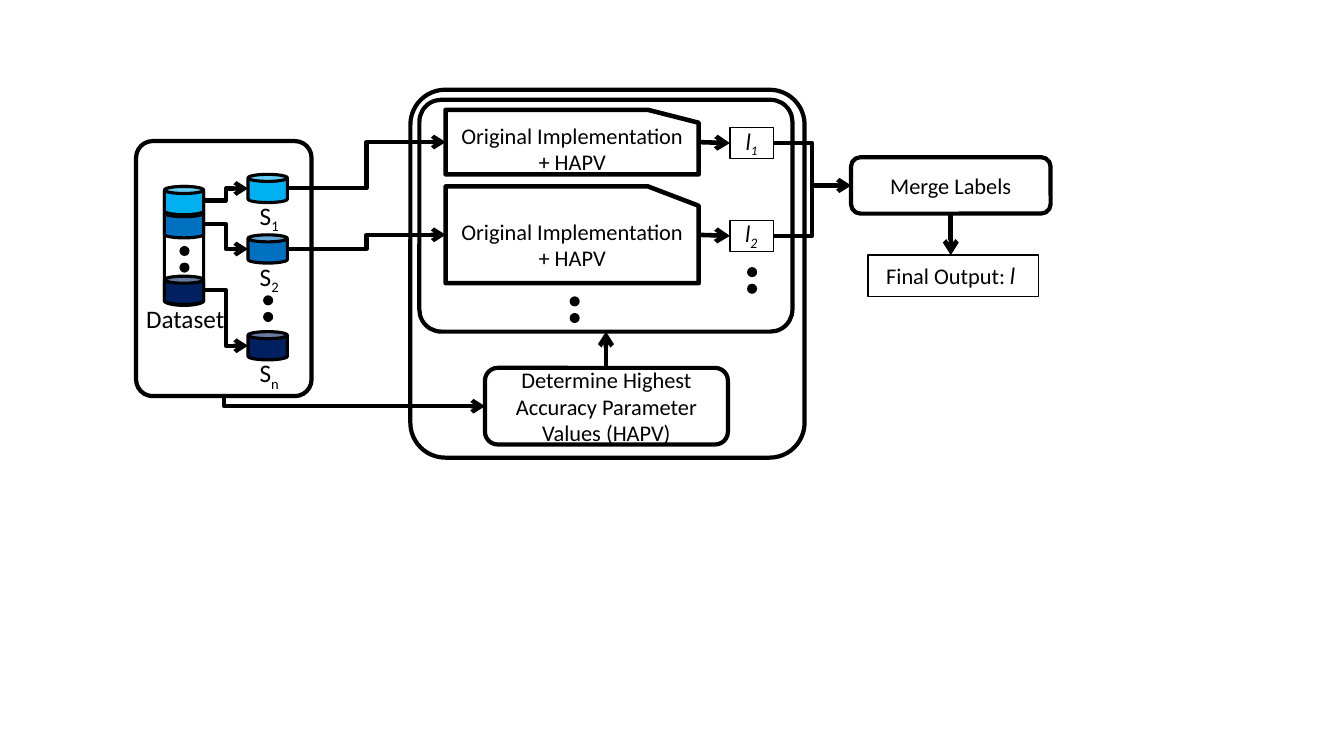
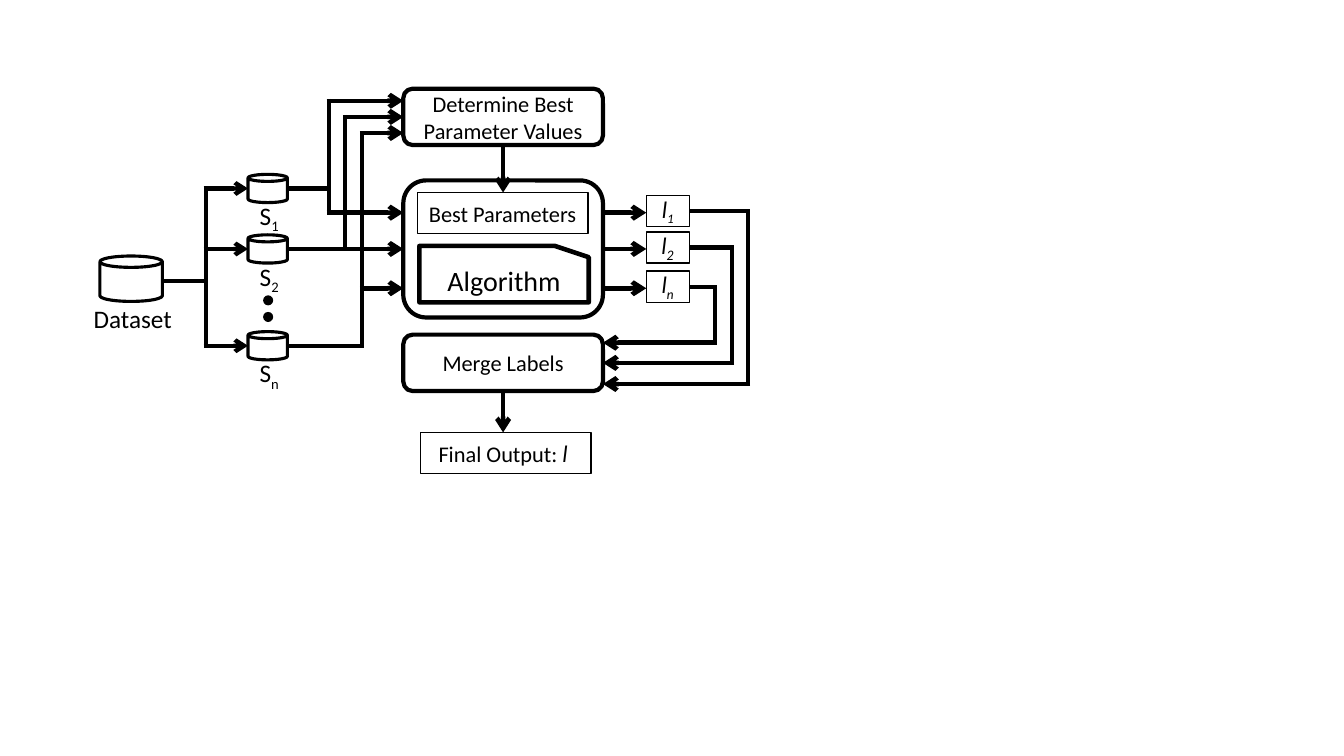
from lxml import etree
from pptx import Presentation
from pptx import util as u
from pptx.dml.color import RGBColor
from pptx.enum import shapes, text
from pptx.oxml.ns import qn

# Content
HAPV = "Determine Highest Accuracy Parameter Values (HAPV)"
IMPLEMENTATION = "Original Implementation + HAPV"
SAMPLES = ["1", "2", "n"]
FINAL = ["Final Output: ", ("l ", "Lato", True, False)]

# Shared style
COLOR = {"ink": "000000", "paper": "FFFFFF", "sky": "00B0F0", "blue": "0070C0", "navy": "002060"}
SHADES = ["sky", "blue", "navy"]
BODY, LABEL = "Calibri", "Lato"
THIN, CAN_LINE, FRAME, HEAVY = 1, 2.25, 3, 3.25
KIND = shapes.MSO_SHAPE
ELBOW = shapes.MSO_CONNECTOR.ELBOW
STRAIGHT = shapes.MSO_CONNECTOR.STRAIGHT

# Shared grid, in inches
SAMPLE_X, CAN_W, CAN_H = 2.46, 0.39, 0.28
SAMPLE_TOPS = [1.73, 2.33, 3.29]
SAMPLE_MIDS = [top + CAN_H / 2 for top in SAMPLE_TOPS]
SAMPLE_END = SAMPLE_X + CAN_W
LABEL_W, LABEL_H = 0.43, 0.31
MERGE_W, MERGE_H = 1.98, 0.56
OUTPUT_W, OUTPUT_H, OUTPUT_DROP = 1.69, 0.41, 0.97
DOT, DOT_STEP = 0.1, 0.165

deck = Presentation()
deck.slide_width, deck.slide_height = u.Inches(13.33), u.Inches(7.5)


def rgb(name):
    return RGBColor.from_string(COLOR[name])


def inches(*lengths):
    return [u.Inches(length) for length in lengths]


def write(shape, parts, size=16, align=text.PP_ALIGN.CENTER, anchor=text.MSO_ANCHOR.MIDDLE):
    """Parts are strings, or tuples of wording, font, italic and subscript."""
    frame = shape.text_frame
    frame.word_wrap = True
    frame.vertical_anchor = anchor
    paragraph = frame.paragraphs[0]
    paragraph.alignment = align
    for part in [parts] if isinstance(parts, str) else parts:
        wording, font, italic, sub = (part, BODY, False, False) if isinstance(part, str) else part
        run = paragraph.add_run()
        run.text = wording
        run.font.name, run.font.size, run.font.italic = font, u.Pt(size), italic
        run.font.color.rgb = rgb("ink")
        if sub:
            run._r.get_or_add_rPr().set("baseline", "-25000")


def box(slide, kind, at, parts=None, fill=None, weight=FRAME, size=16, corner=None):
    shape = slide.shapes.add_shape(kind, *inches(*at))
    shape.shadow.inherit = False
    if fill:
        shape.fill.solid()
        shape.fill.fore_color.rgb = rgb(fill)
    else:
        shape.fill.background()
    if weight:
        shape.line.color.rgb = rgb("ink")
        shape.line.width = u.Pt(weight)
    else:
        shape.line.fill.background()
    if corner:
        shape.adjustments[0] = corner
    if parts:
        write(shape, parts, size)
    return shape


def caption(slide, at, parts, align=text.PP_ALIGN.CENTER):
    area = slide.shapes.add_textbox(*inches(*at))
    write(area, parts, 18, align, text.MSO_ANCHOR.TOP)
    area.text_frame.auto_size = text.MSO_AUTO_SIZE.SHAPE_TO_FIT_TEXT


def link(slide, start, end, kind=STRAIGHT, weight=FRAME, arrow=False):
    line = slide.shapes.add_connector(kind, *inches(*start, *end))
    line.line.color.rgb = rgb("ink")
    line.line.width = u.Pt(weight)
    properties = line.element.spPr
    if arrow:
        etree.SubElement(properties.find(qn("a:ln")), qn("a:tailEnd"), type="arrow")
    etree.SubElement(properties, qn("a:effectLst"))
    return line


def arrow(slide, start, end):
    return link(slide, start, end, weight=HEAVY, arrow=True)


def elbow(slide, start, end):
    return link(slide, start, end, ELBOW, arrow=True)


def down_then_right(slide, start, end):
    # A two-part elbow is stored as a flipped box turned by 270 degrees
    mid_x, mid_y = (start[0] + end[0]) / 2, (start[1] + end[1]) / 2
    half_run, half_drop = (end[0] - start[0]) / 2, (end[1] - start[1]) / 2
    line = elbow(slide, (mid_x + half_drop, mid_y - half_run), (mid_x - half_drop, mid_y + half_run))
    properties = line.element.spPr
    properties.find(qn("a:prstGeom")).set("prst", "bentConnector2")
    properties.find(qn("a:xfrm")).set("rot", "16200000")


def can(slide, x, y, fill="paper", width=CAN_W, height=CAN_H):
    box(slide, KIND.CAN, (x, y, width, height), fill=fill, weight=CAN_LINE)


def card(slide, at, wording, size=16):
    shape = box(slide, KIND.FLOWCHART_CARD, at, wording, "paper", HEAVY, size)
    shape.element.spPr.find(qn("a:xfrm")).set("flipH", "1")


def dots(slide, x, y):
    for step in range(2):
        box(slide, KIND.OVAL, (x, y + step * DOT_STEP, DOT, DOT), fill="ink", weight=None)


def samples(slide, fills):
    for index, top, fill in zip(SAMPLES, SAMPLE_TOPS, fills):
        can(slide, SAMPLE_X, top, fill)
        caption(slide, (2.39, top + 0.21, 0.56, 0.4), ["S", (index, BODY, False, True)])
    dots(slide, 2.61, 2.93)


def label(slide, x, y, index):
    index_font = BODY if index == "1" else LABEL
    box(slide, KIND.RECTANGLE, (x, y, LABEL_W, LABEL_H),
        [("l", LABEL, True, False), (index, index_font, True, True)], weight=THIN)


def merge(slide, x, y):
    middle = x + MERGE_W / 2
    box(slide, KIND.ROUNDED_RECTANGLE, (x, y, MERGE_W, MERGE_H), "Merge Labels")
    arrow(slide, (middle, y + MERGE_H), (middle, y + OUTPUT_DROP))
    box(slide, KIND.RECTANGLE, (x + 0.17, y + OUTPUT_DROP, OUTPUT_W, OUTPUT_H), FINAL, weight=THIN)


def dataset_caption(slide, x):
    caption(slide, (x, 2.96, 0.99, 0.4), "Dataset", text.PP_ALIGN.LEFT)


# Slide 1: each sample has its own implementation
ensemble = deck.slides.add_slide(deck.slide_layouts[6])
dataset_caption(ensemble, 1.35)
samples(ensemble, SHADES)
for panel in [(4.07, 0.89, 3.91, 3.65), (4.16, 0.99, 3.7, 2.3), (1.35, 1.4, 1.74, 2.53)]:
    box(ensemble, KIND.ROUNDED_RECTANGLE, panel, corner=0.095)
box(ensemble, KIND.ROUNDED_RECTANGLE, (4.81, 3.65, 2.41, 0.76), HAPV)
arrow(ensemble, (6.01, 3.65), (6.01, 3.29))
down_then_right(ensemble, (2.22, 3.93), (4.81, 4.03))

# Dataset stack: slices from bottom to top
STACK_X, STACK_TOP = 1.63, 1.85
can(ensemble, STACK_X, STACK_TOP, height=1.18)
for shade, top in [("blue", 2.08), ("sky", STACK_TOP), ("navy", 2.74)]:
    can(ensemble, STACK_X, top, shade)
for slice_mid, sample_mid in zip([1.99, 2.22, 2.88], SAMPLE_MIDS):
    elbow(ensemble, (STACK_X + CAN_W, slice_mid), (SAMPLE_X, sample_mid))
dots(ensemble, 1.78, 2.44)

# Implementations and their labels
CARD_X, CARD_W, RESULT_X = 4.42, 2.51, 7.24
for index, sample_mid, top, height in zip(SAMPLES, SAMPLE_MIDS, [1.09, 1.85], [0.64, 0.96]):
    middle = top + height / 2
    card(ensemble, (CARD_X, top, CARD_W, height), IMPLEMENTATION)
    elbow(ensemble, (SAMPLE_END, sample_mid), (CARD_X, middle))
    arrow(ensemble, (CARD_X + CARD_W, middle), (RESULT_X, middle + 0.01))
    label(ensemble, RESULT_X, middle + 0.01 - LABEL_H / 2, index)
    elbow(ensemble, (RESULT_X + LABEL_W, middle + 0.01), (8.44, 1.84))
dots(ensemble, 5.65, 2.94)
dots(ensemble, 7.41, 2.65)
merge(ensemble, 8.44, 1.56)

# Slide 2: all samples share one algorithm
shared = deck.slides.add_slide(deck.slide_layouts[6])
TRUNK_X, CORE_X, CORE_W, LABEL_X = 2.04, 4, 1.98, 6.41
CORE_END, CORE_MID = CORE_X + CORE_W, CORE_X + CORE_W / 2
can(shared, 0.99, 2.54, width=0.62, height=0.45)
dataset_caption(shared, 0.83)
samples(shared, ["paper"] * 3)
link(shared, (TRUNK_X, SAMPLE_MIDS[0]), (TRUNK_X, SAMPLE_MIDS[-1]))
link(shared, (1.61, 2.79), (TRUNK_X, 2.79))

# Core column
box(shared, KIND.ROUNDED_RECTANGLE, (CORE_X, 0.88, CORE_W, 0.56), "Determine Best Parameter Values")
card(shared, (4.16, 2.44, 1.68, 0.56), "Algorithm", 20)
box(shared, KIND.RECTANGLE, (4.14, 1.91, 1.69, 0.41), "Best Parameters", weight=THIN)
box(shared, KIND.ROUNDED_RECTANGLE, (CORE_X, 1.79, CORE_W, 1.36))
arrow(shared, (CORE_MID, 1.44), (CORE_MID, 1.91))
merge(shared, CORE_X, 3.32)

# Routes: bus column, tuning row, algorithm row, label top, return column, merge row
ROUTES = [
    (3.26, 1.0, 2.11, 1.94, 7.42, 3.81),
    (3.42, 1.16, 2.47, 2.3, 7.26, 3.6),
    (3.59, 1.32, 2.86, 2.69, 7.09, 3.4),
]
CORNER = 0.02
for index, mid, (bus, tune, run, top, back, joined) in zip(SAMPLES, SAMPLE_MIDS, ROUTES):
    label_mid = top + LABEL_H / 2
    link(shared, (TRUNK_X - CORNER, mid), (SAMPLE_X, mid), arrow=True)
    link(shared, (SAMPLE_END, mid), (bus + CORNER, mid))
    link(shared, (bus, tune - CORNER), (bus, max(run, mid) + CORNER))
    for row in (tune, run):
        arrow(shared, (bus - CORNER, row), (CORE_X, row))
    arrow(shared, (CORE_END, run), (LABEL_X, run))
    label(shared, LABEL_X, top, index)
    link(shared, (LABEL_X + LABEL_W, label_mid), (back + CORNER, label_mid))
    link(shared, (back, label_mid), (back, joined))
    arrow(shared, (back + CORNER, joined), (CORE_END, joined))

deck.save("out.pptx")
